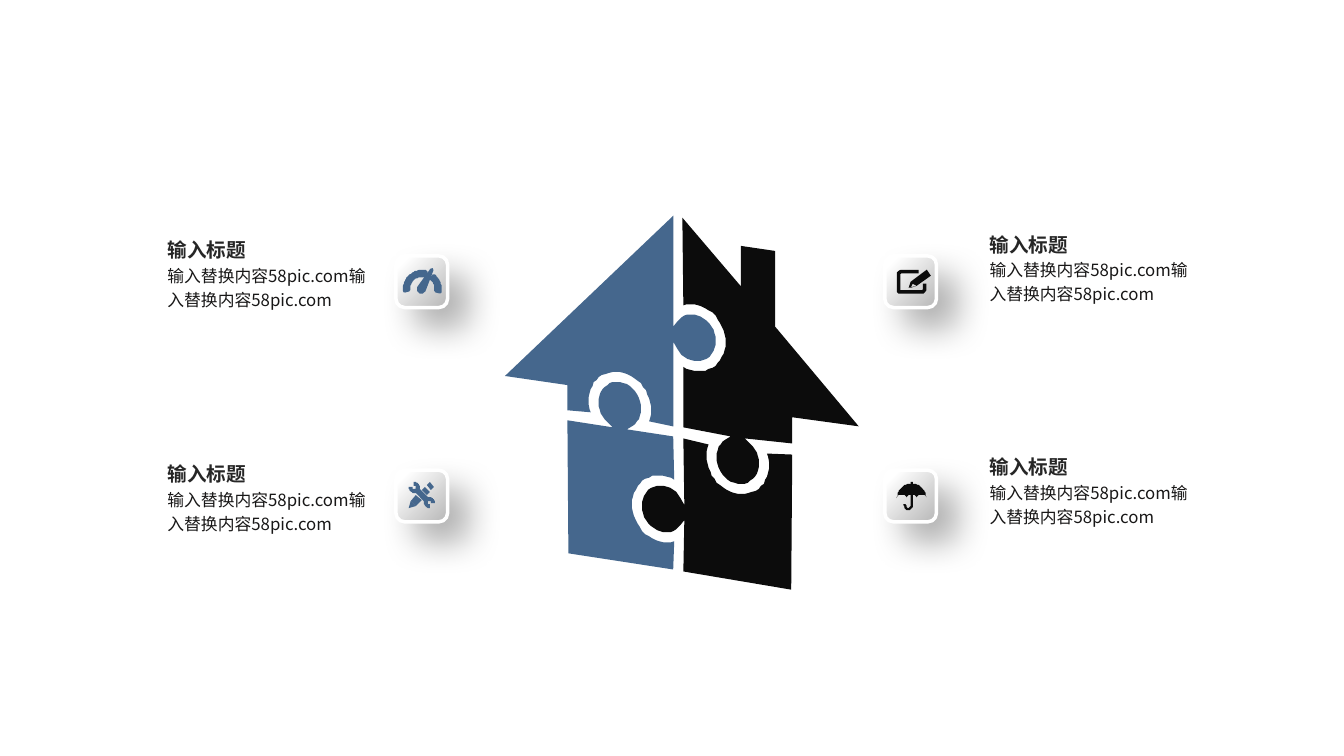
from math import cos, hypot, radians, sin
from lxml.etree import SubElement
from pptx import Presentation
from pptx.dml.color import RGBColor
from pptx.enum.shapes import MSO_SHAPE
from pptx.enum.text import MSO_AUTO_SIZE as AUTO
from pptx.oxml.ns import qn
from pptx.util import Cm, Pt

COLORS = {
    "blue": "45678D", "black": "0C0C0C", "white": "FFFFFF",
    "gray": "B8B8B8", "shadow": "000000", "title": "262626", "body": "181717",
}
CJK = "Noto Sans CJK SC"
TITLE = "输入标题"
BODY = "输入替换内容58pic.com" * 2
UNIT = Cm(2.54) / 100
TILE = 1.3
SLANT = 0.15
KNOB_RX, KNOB_RY, GAP = 21, 23, 10
RIGHT, DOWN, LEFT, UP = 0, 90, 180, -90
ROOF_KNOB = (689, 335), RIGHT
LEFT_KNOB = (615, 402), UP
RIGHT_KNOB = (732, 457), DOWN
BASE_KNOB = (658, 505), LEFT
CAPTIONS = [(4.22, 5.89), (24.94, 5.74), (4.22, 11.53), (24.94, 11.35)]


def rgb(name):
    return RGBColor.from_string(COLORS[name])


def arc(center, rx, ry, start, end, slant=0, steps=32):
    cx, cy = center
    angles = [radians(start + (end - start) * i / steps) for i in range(steps + 1)]
    return [(cx + rx * cos(a), cy + ry * sin(a) + slant * rx * cos(a)) for a in angles]


def band(center, outer, inner, start, end):
    return arc(center, outer, outer, start, end) + arc(center, inner, inner, end, start)


def bar(start, end, width):
    (x1, y1), (x2, y2) = start, end
    k = width / 2 / hypot(x2 - x1, y2 - y1)
    dx, dy = (y1 - y2) * k, (x2 - x1) * k
    return [(x1 + dx, y1 + dy), (x2 + dx, y2 + dy), (x2 - dx, y2 - dy), (x1 - dx, y1 - dy)]


def knob(center, facing):
    neck = arc(center, KNOB_RX * 1.05, KNOB_RY * 1.05, facing - 162, facing + 162, SLANT, 1)
    head = arc(center, KNOB_RX, KNOB_RY, facing - 145, facing + 145, SLANT)
    return [neck[0], *head, neck[1]]


def socket(center, facing):
    return arc(center, KNOB_RX + GAP, KNOB_RY + GAP, facing + 111, facing - 111, SLANT)


def add_path(shapes, *contours, color, origin=(0, 0), fill=True, line=0):
    builder = shapes.build_freeform(*contours[0][0], scale=UNIT)
    for i, points in enumerate(contours):
        if i:
            builder.move_to(*points[0])
        builder.add_line_segments(points[1:], close=fill)
    sp = builder.convert_to_shape(*map(Cm, origin))
    sp.shadow.inherit = False
    if fill:
        sp.fill.solid()
        sp.fill.fore_color.rgb = rgb(color)
    else:
        sp.fill.background()
    if line:
        sp.line.color.rgb = rgb(color)
        sp.line.width = Pt(line)
    else:
        sp.line.fill.background()


def add_house(s):
    roof_left = [(668, 214), *knob(*ROOF_KNOB), (668, 423), *socket(*LEFT_KNOB),
                 (563, 407), (563, 382), (501, 373)]
    chimney = [(735, 284), (735, 244), (769, 249), (769, 324)]
    roof_right = [(677, 216), *chimney, (852, 423), (786, 414), (786, 440),
                  *knob(*RIGHT_KNOB), (678, 424), *socket(*ROOF_KNOB)]
    wall_left = [(563, 417), *knob(*LEFT_KNOB), (668, 433), *socket(*BASE_KNOB),
                 (668, 565), (564, 549)]
    wall_right = [(678, 435), *socket(*RIGHT_KNOB), (786, 451), (785, 585),
                  (678, 567), *knob(*BASE_KNOB)]
    shapes = s.shapes.add_group_shape().shapes
    for left, right in ((roof_left, roof_right), (wall_left, wall_right)):
        add_path(shapes, left, color="blue")
        add_path(shapes, right, color="black")


def add_gauge(shapes, **style):
    hub = (0.5, 7.5)
    needle = [*arc((-0.5, 7.5), 2.5, 2.5, 30, 210), (10.5, -11.5)]
    for part in (band(hub, 17.5, 14, -184, -77), band(hub, 17.5, 14, -50, 8), needle):
        add_path(shapes, part, line=2.5, **style)


def add_tools(shapes, **style):
    wrench = [band((-7.5, -8.5), 5.5, 2, -100, 190), bar((-6, -7), (6, 5), 5),
              band((7.5, 6.5), 5.5, 2, 80, 370)]
    nib = [(-13, 12), (-11, 5), (-6, 10)]
    pencil = [nib, bar((-8.5, 7.5), (-3, 1.5), 7), bar((2.6, -3.6), (5.4, -6.4), 7),
              bar((7.1, -8.6), (9.9, -11.4), 6.5)]
    for part in wrench + pencil:
        add_path(shapes, part, **style)


def add_edit(shapes, **style):
    frame = [(7.5, -9.5), *arc((-10.5, -7.5), 2, 2, 270, 180), *arc((-10.5, 8.5), 2, 2, 180, 90),
             *arc((11.5, 8.5), 2, 2, 90, 0), (13.5, 2.5)]
    pencil = [(0.5, 0.5), (-1.5, 6.5), (6.5, 4.5), (20.5, -6.5), (15.5, -11.5)]
    nib = [(5.5, 3.5), (0.5, 5.5), (1.5, 1.5)]
    add_path(shapes, frame, fill=False, line=2.5, **style)
    add_path(shapes, pencil, nib, **style)


def add_umbrella(shapes, **style):
    canopy = arc((1, 1.5), 14.5, 14, 180, 360)
    for x in (11, 1, -9):
        canopy += arc((x, 1.5), 4.8, 3, 360, 180)
    handle = [(1, -14), *arc((-2.3, 8.5), 3.3, 4.5, 0, 180)]
    add_path(shapes, canopy, **style)
    add_path(shapes, handle, fill=False, line=1.6, **style)


def add_shadow(sp):
    sp.shadow.inherit = False
    effects = sp._element.spPr.find(qn("a:effectLst"))
    shadow = SubElement(effects, qn("a:outerShdw"), blurRad=str(Pt(24)),
                        dist=str(Pt(20)), dir="2700000", algn="tl", rotWithShape="0")
    color = SubElement(shadow, qn("a:srgbClr"), val=COLORS["shadow"])
    SubElement(color, qn("a:alpha"), val="30000")


def add_tile(s, x, y, color, add_icon):
    shapes = s.shapes.add_group_shape().shapes
    sp = shapes.add_shape(MSO_SHAPE.ROUNDED_RECTANGLE, Cm(x), Cm(y), Cm(TILE), Cm(TILE))
    sp.fill.gradient()
    sp.fill.gradient_angle = 315
    for stop, pos, name in zip(sp.fill.gradient_stops, (0.13, 1), ("white", "gray")):
        stop.position = pos
        stop.color.rgb = rgb(name)
    sp.line.color.rgb = rgb("white")
    sp.line.width = Pt(2.5)
    add_shadow(sp)
    add_icon(shapes, color=color, origin=(x + TILE / 2, y + TILE / 2))


def add_run(p, text, size, color, font, bold=False):
    r = p.add_run()
    r.text = text
    r.font.size = Pt(size)
    r.font.bold = bold
    r.font.name = font
    r.font.color.rgb = rgb(color)
    SubElement(r.font._element, qn("a:ea"), typeface=CJK)


def add_caption(s, x, y):
    tf = s.shapes.add_textbox(Cm(x), Cm(y), Cm(5), Cm(1.9)).text_frame
    tf.margin_left = tf.margin_right = tf.margin_top = tf.margin_bottom = 0
    tf.word_wrap = True
    tf.auto_size = AUTO.SHAPE_TO_FIT_TEXT
    p = tf.paragraphs[0]
    p.line_spacing = 1.2
    add_run(p, TITLE, size=14, color="title", font="Arial", bold=True)
    p.add_line_break()
    add_run(p, BODY, size=12, color="body", font=CJK)


def main():
    prs = Presentation()
    prs.slide_width, prs.slide_height = Cm(33.87), Cm(19.05)
    s = prs.slides.add_slide(prs.slide_layouts[6])
    add_house(s)
    columns = [(9.98, "blue", (add_gauge, add_tools)), (22.3, "black", (add_edit, add_umbrella))]
    for x, color, icons in columns:
        for y, add_icon in zip((6.45, 11.85), icons):
            add_tile(s, x, y, color, add_icon)
    for x, y in CAPTIONS:
        add_caption(s, x, y)
    prs.save("out.pptx")


if __name__ == "__main__":
    main()
